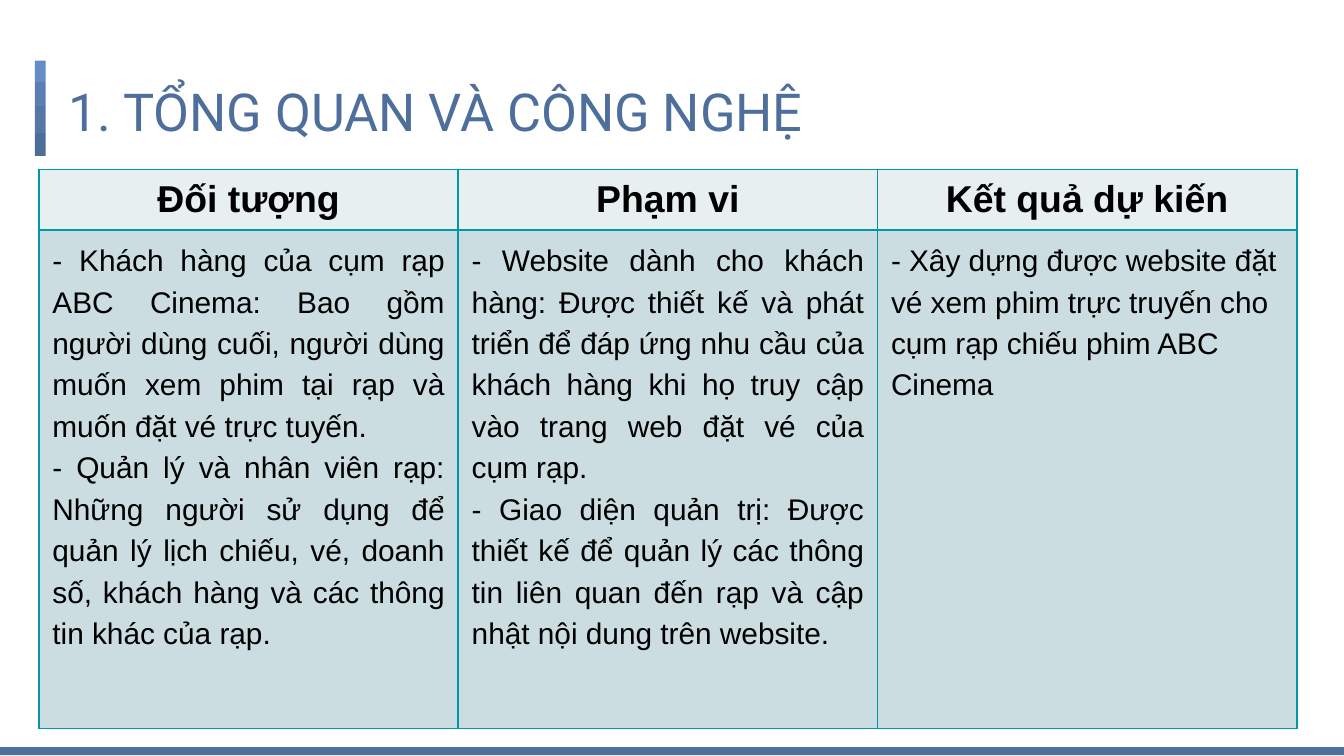
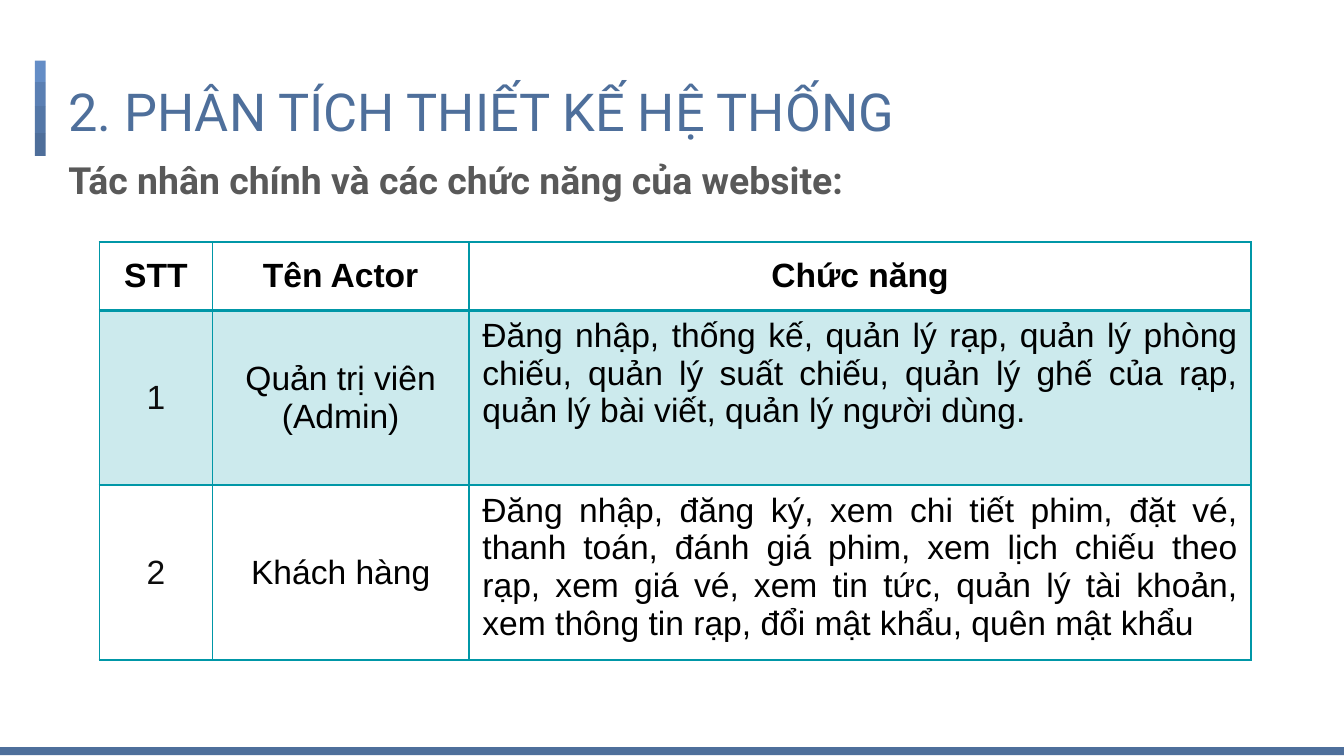
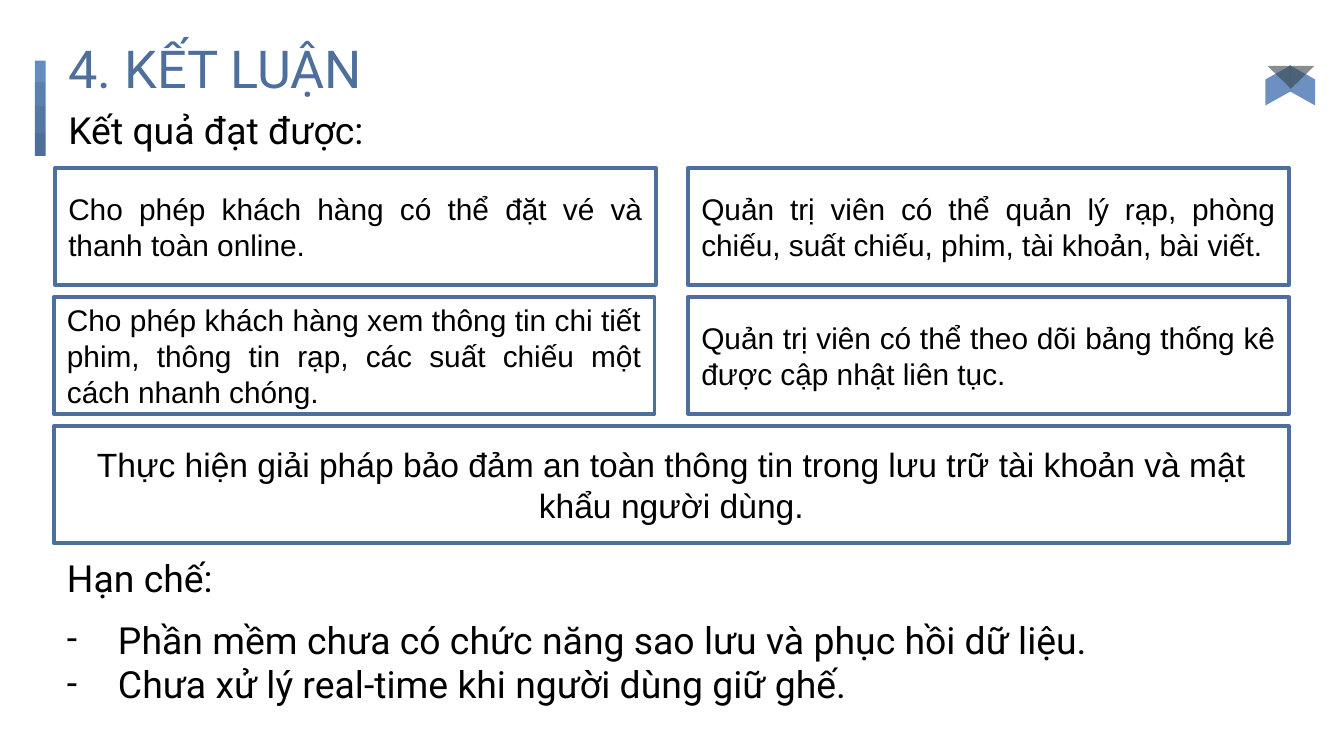
"""Build three slides on a cinema ticket website: scope, actors and conclusions."""
from dataclasses import dataclass
from typing import Any, Optional, Sequence

import lxml.etree
import pptx
import pptx.dml.color
import pptx.enum.shapes
import pptx.enum.text
import pptx.oxml.ns
import pptx.util

Inches = pptx.util.Inches
Pt = pptx.util.Pt
RGBColor = pptx.dml.color.RGBColor
Align = pptx.enum.text.PP_ALIGN
Anchor = pptx.enum.text.MSO_ANCHOR
Preset = pptx.enum.shapes.MSO_SHAPE
qn = pptx.oxml.ns.qn

NAVY = RGBColor(0x4E, 0x6F, 0x9B)
TEAL = RGBColor(0x00, 0x97, 0xA7)
HEADER_TINT = RGBColor(0xE7, 0xEF, 0xF1)
BODY_TINT = RGBColor(0xCC, 0xDD, 0xE1)
BLACK = RGBColor(0x00, 0x00, 0x00)
INK = RGBColor(0x0D, 0x0D, 0x0D)
GRAY = RGBColor(0x59, 0x59, 0x59)
WING_BLUE = RGBColor(0x5E, 0x85, 0xB9)
FOLD_GRAY = RGBColor(0x38, 0x44, 0x4A)


@dataclass(frozen=True)
class Frame:
    """Left, top, width and height in inches."""

    left: float
    top: float
    width: float
    height: float

    def lengths(self) -> list[int]:
        """Return the four values as lengths."""
        return [Inches(value) for value in (self.left, self.top, self.width, self.height)]


@dataclass(frozen=True)
class TextStyle:
    """Look of a block of text."""

    size: float
    font: str = "Arial"
    color: RGBColor = BLACK
    bold: bool = False
    align: Align = Align.LEFT
    anchor: Anchor = Anchor.TOP
    spacing: float = 1.0
    margin: float = 0.0
    indent: float = 0.0
    bullet: str = ""


@dataclass(frozen=True)
class Block:
    """A frame holding paragraphs in one style."""

    frame: Frame
    paragraphs: Sequence[str]
    style: TextStyle


@dataclass(frozen=True)
class Cell:
    """Content and fill of one table cell."""

    paragraphs: Sequence[str]
    style: TextStyle
    fill: Optional[RGBColor] = None
    opacity: int = 100
    bottom: float = 1


@dataclass(frozen=True)
class Ornament:
    """A filled preset shape with rotation, flip and adjustment."""

    frame: Frame
    color: RGBColor
    preset: Preset = Preset.RECTANGLE
    rotation: float = 0
    flipped: bool = False
    adjust: Optional[float] = None
    opacity: int = 100


@dataclass(frozen=True)
class Segment:
    """One piece of the bar beside the title."""

    length: float
    color: RGBColor


BAR_SEGMENTS = (
    Segment(0.16, RGBColor(0x64, 0x8D, 0xC6)),
    Segment(0.18, RGBColor(0x5A, 0x7F, 0xB3)),
    Segment(0.20, RGBColor(0x54, 0x77, 0xA7)),
    Segment(0.17, RGBColor(0x4E, 0x6E, 0x9A)),
)
BAR_CENTER, BAR_TOP, BAR_WIDTH = 0.30, 0.45, 0.08
BAND = Ornament(Frame(0, 5.56, 10, 0.06), NAVY)
EMBLEM = (
    Ornament(Frame(9.54, 0.54, 0.3, 0.19), WING_BLUE, Preset.PARALLELOGRAM, 90, False, 0.56, 91),
    Ornament(Frame(9.36, 0.54, 0.3, 0.19), WING_BLUE, Preset.PARALLELOGRAM, 90, True, 0.56, 91),
    Ornament(Frame(9.43, 0.49, 0.35, 0.17), FOLD_GRAY, Preset.ISOSCELES_TRIANGLE, 180, False, 0.5, 60),
)

TITLE = TextStyle(28, "Roboto", NAVY)
SUBTITLE = TextStyle(20, "Roboto", GRAY, True, spacing=1.15, margin=0.5, indent=-0.38)
LABEL = TextStyle(20, "Roboto")
DASHED = TextStyle(20, "Roboto", margin=0.38, indent=-0.38, bullet="-")
CARD = TextStyle(16, align=Align.JUSTIFY, anchor=Anchor.MIDDLE)
WIDE_CARD = TextStyle(18, align=Align.CENTER, anchor=Anchor.MIDDLE)
SCOPE_HEADER = TextStyle(20, bold=True, align=Align.CENTER, anchor=Anchor.MIDDLE)
SCOPE_BODY = TextStyle(16, align=Align.JUSTIFY, spacing=1.25)
SCOPE_RESULT = TextStyle(16, spacing=1.25)
ACTOR_HEADER = TextStyle(18, bold=True, align=Align.CENTER, anchor=Anchor.MIDDLE)
ACTOR_NUMBER = TextStyle(18, color=INK, align=Align.CENTER, anchor=Anchor.MIDDLE)
ACTOR_NAME = TextStyle(18, align=Align.CENTER, anchor=Anchor.MIDDLE)
ACTOR_DUTIES = TextStyle(18, align=Align.JUSTIFY)

SCOPE = {
    "Đối tượng": (
        "- Khách hàng của cụm rạp ABC Cinema: Bao gồm người dùng cuối, người dùng "
        "muốn xem phim tại rạp và muốn đặt vé trực tuyến.",
        "- Quản lý và nhân viên rạp: Những người sử dụng để quản lý lịch chiếu, vé, "
        "doanh số, khách hàng và các thông tin khác của rạp.",
    ),
    "Phạm vi": (
        "- Website dành cho khách hàng: Được thiết kế và phát triển để đáp ứng nhu cầu "
        "của khách hàng khi họ truy cập vào trang web đặt vé của cụm rạp.",
        "- Giao diện quản trị: Được thiết kế để quản lý các thông tin liên quan đến rạp "
        "và cập nhật nội dung trên website.",
    ),
    "Kết quả dự kiến": (
        "- Xây dựng được website đặt vé xem phim trực truyến cho cụm rạp chiếu phim ABC Cinema",
    ),
}
ACTORS = {
    "Quản trị viên (Admin)":
        "Đăng nhập, thống kế, quản lý rạp, quản lý phòng chiếu, quản lý suất chiếu, "
        "quản lý ghế của rạp, quản lý bài viết, quản lý người dùng.",
    "Khách hàng":
        "Đăng nhập, đăng ký, xem chi tiết phim, đặt vé, thanh toán, đánh giá phim, "
        "xem lịch chiếu theo rạp, xem giá vé, xem tin tức, quản lý tài khoản, "
        "xem thông tin rạp, đổi mật khẩu, quên mật khẩu",
}
CARD_WIDTH, CARD_HEIGHT = 4.47, 0.87
CARD_TOPS = (1.25, 2.21, 3.17)
CARDS = (
    Block(Frame(0.41, CARD_TOPS[0], CARD_WIDTH, CARD_HEIGHT),
          ["Cho phép khách hàng có thể đặt vé và thanh toàn online."], CARD),
    Block(Frame(5.12, CARD_TOPS[0], CARD_WIDTH, CARD_HEIGHT),
          ["Quản trị viên có thể quản lý rạp, phòng chiếu, suất chiếu, phim, tài khoản, bài viết."], CARD),
    Block(Frame(5.12, CARD_TOPS[1], CARD_WIDTH, CARD_HEIGHT),
          ["Quản trị viên có thể theo dõi bảng thống kê được cập nhật liên tục."], CARD),
    Block(Frame(0.4, CARD_TOPS[1], CARD_WIDTH, CARD_HEIGHT),
          ["Cho phép khách hàng xem thông tin chi tiết phim, thông tin rạp, "
           "các suất chiếu một cách nhanh chóng."], CARD),
    Block(Frame(0.4, CARD_TOPS[2], 9.19, CARD_HEIGHT),
          ["Thực hiện giải pháp bảo đảm an toàn thông tin trong lưu trữ tài khoản "
           "và mật khẩu người dùng."], WIDE_CARD),
)
NOTES = (
    Block(Frame(0.41, 0.75, 3.1, 0.44), ["Kết quả đạt được:"], LABEL),
    Block(Frame(0.4, 4.08, 3.1, 0.44), ["Hạn chế:"], LABEL),
    Block(Frame(0.4, 4.54, 8.4, 0.77),
          ["Phần mềm chưa có chức năng sao lưu và phục hồi dữ liệu.",
           "Chưa xử lý real-time khi người dùng giữ ghế."], DASHED),
)


def add_color(parent: Any, tag: str, color: RGBColor) -> None:
    """Append an element of the given tag that holds a colour."""
    holder = lxml.etree.SubElement(parent, qn(tag))
    lxml.etree.SubElement(holder, qn("a:srgbClr"), val=str(color))


def set_opacity(element: Any, percent: int) -> None:
    """Give the first colour in an element its opacity."""
    if percent < 100:
        color = element.find(".//" + qn("a:srgbClr"))
        lxml.etree.SubElement(color, qn("a:alpha"), val=str(percent * 1000))


def write_text(frame: Any, paragraphs: Sequence[str], style: TextStyle) -> None:
    """Write paragraphs into a text frame."""
    frame.word_wrap = True
    for index, text in enumerate(paragraphs):
        para = frame.add_paragraph() if index else frame.paragraphs[0]
        para.alignment = style.align
        para.line_spacing = style.spacing
        if style.margin:
            properties = para._p.get_or_add_pPr()
            properties.set("marL", str(Inches(style.margin)))
            properties.set("indent", str(Inches(style.indent)))
            if style.bullet:
                add_color(properties, "a:buClr", style.color)
                lxml.etree.SubElement(properties, qn("a:buFont"), typeface=style.font)
                lxml.etree.SubElement(properties, qn("a:buChar"), char=style.bullet)
        span = para.add_run()
        span.text = text
        span.font.name = style.font
        span.font.size = Pt(style.size)
        span.font.bold = style.bold
        span.font.color.rgb = style.color


def draw_text(page: Any, block: Block, inset: float = 0.05) -> None:
    """Draw a text box."""
    box = page.shapes.add_textbox(*block.frame.lengths())
    box.text_frame.margin_top = box.text_frame.margin_bottom = Inches(inset)
    write_text(box.text_frame, block.paragraphs, block.style)


def draw_card(page: Any, block: Block) -> None:
    """Draw an outlined box with text."""
    card = page.shapes.add_shape(Preset.RECTANGLE, *block.frame.lengths())
    card.shadow.inherit = False
    card.fill.background()
    card.line.color.rgb = NAVY
    card.line.width = Pt(2)
    card.text_frame.vertical_anchor = block.style.anchor
    write_text(card.text_frame, block.paragraphs, block.style)


def draw_ornament(page: Any, ornament: Ornament) -> None:
    """Draw a filled shape without an outline."""
    shape = page.shapes.add_shape(ornament.preset, *ornament.frame.lengths())
    shape.shadow.inherit = False
    shape.fill.solid()
    shape.fill.fore_color.rgb = ornament.color
    shape.line.fill.background()
    shape.rotation = ornament.rotation
    if ornament.adjust is not None:
        shape.adjustments[0] = ornament.adjust
    if ornament.flipped:
        shape._element.spPr.find(qn("a:xfrm")).set("flipH", "1")
    set_opacity(shape._element.spPr, ornament.opacity)


def set_borders(properties: Any, bottom: float) -> None:
    """Put teal borders round a cell."""
    widths = {"a:lnL": 1, "a:lnR": 1, "a:lnT": 1, "a:lnB": bottom}
    for index, (tag, width) in enumerate(widths.items()):
        border = lxml.etree.Element(qn(tag), w=str(Pt(width)))
        add_color(border, "a:solidFill", TEAL)
        properties.insert(index, border)


def draw_table(page: Any, left: float, top: float, columns: Sequence[float],
               heights: Sequence[float], rows: Sequence[Sequence[Cell]]) -> None:
    """Draw a table with bordered cells."""
    frame = Frame(left, top, sum(columns), sum(heights))
    table = page.shapes.add_table(len(heights), len(columns), *frame.lengths()).table
    for column, width in zip(table.columns, columns):
        column.width = Inches(width)
    for row, height, cells in zip(table.rows, heights, rows):
        row.height = Inches(height)
        for target, cell in zip(row.cells, cells):
            target.vertical_anchor = cell.style.anchor
            write_text(target.text_frame, cell.paragraphs, cell.style)
            properties = target._tc.get_or_add_tcPr()
            if cell.fill is None:
                target.fill.background()
            else:
                target.fill.solid()
                target.fill.fore_color.rgb = cell.fill
                set_opacity(properties, cell.opacity)
            set_borders(properties, cell.bottom)


def add_page(deck: Any, title: str, title_top: float = 0.49, band: bool = True) -> Any:
    """Add a blank page with the title, its bar and the bottom band."""
    page = deck.slides.add_slide(deck.slide_layouts[6])
    top = BAR_TOP
    for segment in BAR_SEGMENTS:
        frame = Frame(BAR_CENTER - segment.length / 2,
                      top + (segment.length - BAR_WIDTH) / 2, segment.length, BAR_WIDTH)
        draw_ornament(page, Ornament(frame, segment.color, rotation=270))
        top += segment.length
    draw_text(page, Block(Frame(0.41, title_top, 9.25, 0.63), [title], TITLE), 0.1)
    if band:
        draw_ornament(page, BAND)
    return page


def build_scope(deck: Any) -> None:
    """Build the overview page."""
    page = add_page(deck, "1. TỔNG QUAN VÀ CÔNG NGHỆ")
    headers = [Cell([name], SCOPE_HEADER, HEADER_TINT) for name in SCOPE]
    bodies = [Cell(points, SCOPE_BODY if len(points) > 1 else SCOPE_RESULT, BODY_TINT)
              for points in SCOPE.values()]
    draw_table(page, 0.29, 1.26, [3.12] * 3, [0.45, 3.71], [headers, bodies])


def build_actors(deck: Any) -> None:
    """Build the page of actors and their functions."""
    page = add_page(deck, "2. PHÂN TÍCH THIẾT KẾ HỆ THỐNG")
    draw_text(page, Block(Frame(0.29, 1.02, 6.94, 0.43),
                          ["Tác nhân chính và các chức năng của website:"], SUBTITLE), 0.1)
    rows = [[Cell([name], ACTOR_HEADER, bottom=2) for name in ("STT", "Tên Actor", "Chức năng")]]
    for number, (name, duties) in enumerate(ACTORS.items(), 1):
        fill = TEAL if number % 2 else None
        texts = ((str(number), ACTOR_NUMBER), (name, ACTOR_NAME), (duties, ACTOR_DUTIES))
        rows.append([Cell([text], style, fill, 20) for text, style in texts])
    draw_table(page, 0.74, 1.8, [0.84, 1.91, 5.82], [0.51, 1.3, 1.3], rows)


def build_conclusion(deck: Any) -> None:
    """Build the page of results and limits."""
    page = add_page(deck, "4. KẾT LUẬN", 0.17, False)
    for ornament in EMBLEM:
        draw_ornament(page, ornament)
    for card in CARDS:
        draw_card(page, card)
    for note in NOTES:
        draw_text(page, note)


def main() -> None:
    """Build and save the deck."""
    deck = pptx.Presentation()
    deck.slide_width = Inches(10)
    deck.slide_height = deck.slide_width * 9 // 16
    build_scope(deck)
    build_actors(deck)
    build_conclusion(deck)
    deck.save("out.pptx")


if __name__ == "__main__":
    main()
